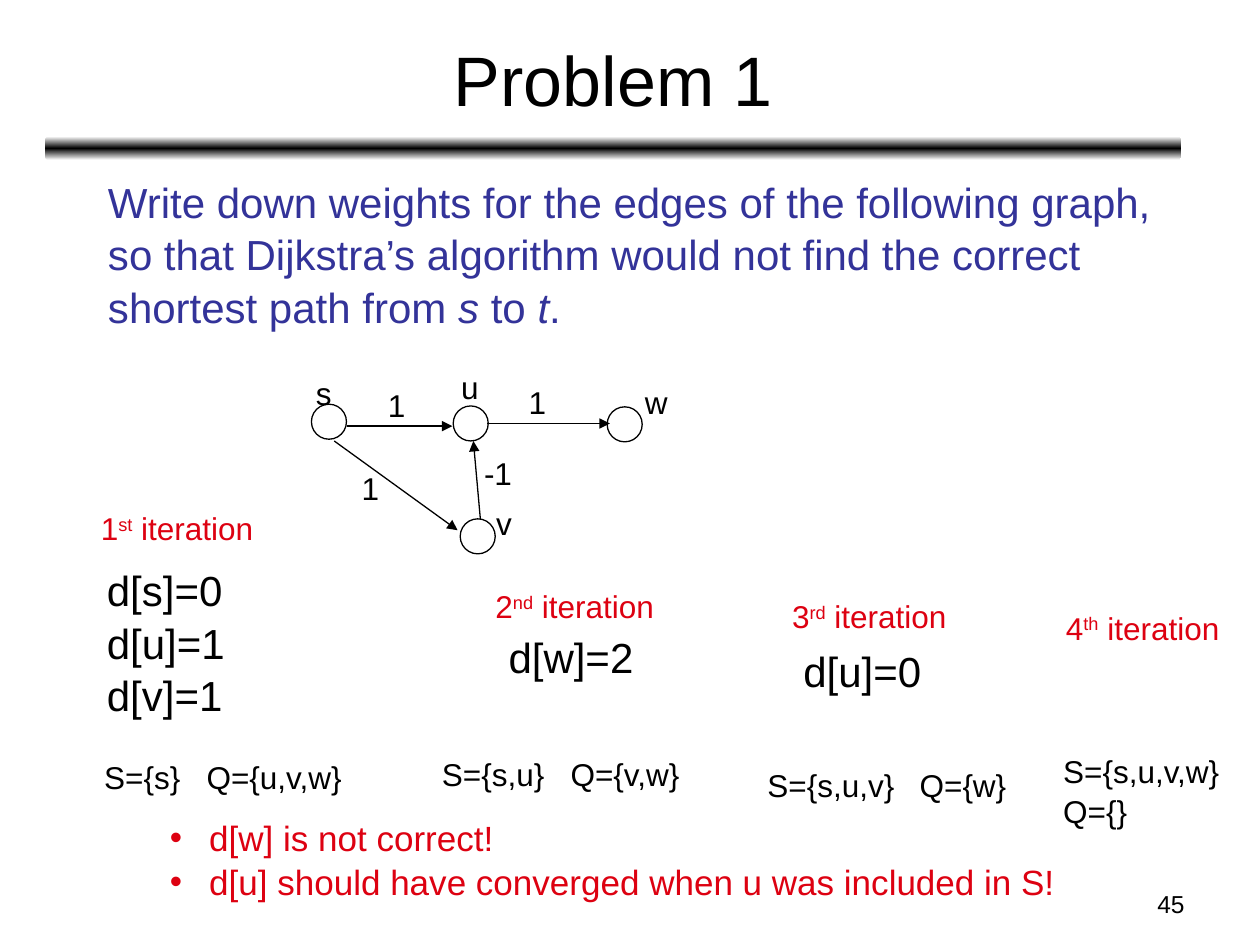
from lxml import etree
from pptx import Presentation
from pptx.dml.color import RGBColor
from pptx.enum.shapes import MSO_CONNECTOR, MSO_SHAPE
from pptx.enum.text import MSO_ANCHOR, MSO_AUTO_SIZE, PP_ALIGN
from pptx.oxml import parse_xml
from pptx.oxml.ns import nsdecls, qn
from pptx.util import Pt

BLACK, BLUE, RED = "000000", "333399", "DD0111"


def rgb(value):
    return RGBColor.from_string(value)


class GraphSlide:
    font = "Arial"
    line_spacing = 1.04
    node_size = 20
    line_width = 0.75

    def __init__(self, slide):
        self.slide = slide

    def place(self, shape, left, top, width, height):
        shape.left, shape.top = Pt(left), Pt(top)
        shape.width, shape.height = Pt(width), Pt(height)

    def style(self, frame, size, color, align=PP_ALIGN.LEFT):
        frame.auto_size = MSO_AUTO_SIZE.NONE
        for paragraph in frame.paragraphs:
            paragraph.alignment = align
            paragraph.line_spacing = self.line_spacing
            paragraph.space_before = Pt(0)
            for run in paragraph.runs:
                run.font.name, run.font.size = self.font, Pt(size)
                run.font.color.rgb = rgb(color)

    def title(self, text, box):
        title = self.slide.shapes.title
        self.place(title, *box)
        title.text_frame.text = text
        title.text_frame.vertical_anchor = MSO_ANCHOR.MIDDLE
        self.style(title.text_frame, 40, BLACK, PP_ALIGN.CENTER)

    def body(self, parts, box):
        """Fill the body with (text, italic) parts, without a bullet."""
        body = self.slide.placeholders[1]
        self.place(body, *box)
        paragraph = body.text_frame.paragraphs[0]
        properties = paragraph._p.get_or_add_pPr()
        properties.set("marL", str(Pt(27)))
        properties.set("indent", "0")
        etree.SubElement(properties, qn("a:buNone"))
        for text, italic in parts:
            run = paragraph.add_run()
            run.text, run.font.italic = text, italic
        self.style(body.text_frame, 24, BLUE)

    def text(self, text, left, top, width, height=29, size=18, color=BLACK,
             align=PP_ALIGN.LEFT, anchor=MSO_ANCHOR.TOP):
        box = self.slide.shapes.add_textbox(Pt(left), Pt(top), Pt(width), Pt(height))
        frame = box.text_frame
        frame.word_wrap = True
        frame.vertical_anchor = anchor
        if align == PP_ALIGN.LEFT:
            frame.margin_right = 0
        frame.text = text
        self.style(frame, size, color, align)
        return frame

    def iteration(self, number, suffix, left, top):
        frame = self.text(number, left, top, 112, color=RED)
        paragraph = frame.paragraphs[0]
        for part in (suffix, " iteration"):
            paragraph.add_run().text = part
        self.style(frame, 18, RED)
        paragraph.runs[1].font._element.set("baseline", "30000")

    def sets(self, done, queue, left, top, gap):
        frame = self.text(f"S={done}\tQ={queue}", left, top, 155)
        properties = frame.paragraphs[0]._p.get_or_add_pPr()
        tabs = etree.SubElement(properties, qn("a:tabLst"))
        etree.SubElement(tabs, qn("a:tab"), pos=str(Pt(gap)), algn="l")

    def bullets(self, lines, left, top, width, height):
        frame = self.text("\n".join(lines), left, top, width, height, 20, RED,
                          anchor=MSO_ANCHOR.MIDDLE)
        for paragraph in frame.paragraphs:
            properties = paragraph._p.get_or_add_pPr()
            properties.set("marL", str(Pt(22.5)))
            properties.set("indent", str(-Pt(22.5)))
            color = etree.SubElement(properties, qn("a:buClr"))
            etree.SubElement(color, qn("a:srgbClr"), val=RED)
            etree.SubElement(properties, qn("a:buFont"), typeface=self.font)
            etree.SubElement(properties, qn("a:buChar"), char="•")

    def rule(self, left, top, width, height):
        """Draw the bar below the title, black in the middle and fading out."""
        bar = self.slide.shapes.add_shape(
            MSO_SHAPE.ROUNDED_RECTANGLE, Pt(left), Pt(top), Pt(width), Pt(height))
        bar.shadow.inherit = False
        bar.line.fill.background()
        bar.fill.gradient()
        bar.fill.gradient_angle = 90
        stops = "".join(
            f'<a:gs pos="{position}"><a:srgbClr val="{color}"/></a:gs>'
            for position, color in ((0, "FFFFFF"), (50000, BLACK), (100000, "FFFFFF")))
        old = bar._element.spPr.find(".//" + qn("a:gsLst"))
        old.getparent().replace(
            old, parse_xml(f'<a:gsLst {nsdecls("a")}>{stops}</a:gsLst>'))

    def node(self, left, top):
        circle = self.slide.shapes.add_shape(
            MSO_SHAPE.OVAL, Pt(left), Pt(top), Pt(self.node_size), Pt(self.node_size))
        circle.shadow.inherit = False
        circle.fill.background()
        circle.line.color.rgb = rgb(BLACK)
        circle.line.width = Pt(self.line_width)

    def edge(self, start, end):
        arrow = self.slide.shapes.add_connector(
            MSO_CONNECTOR.STRAIGHT, *(Pt(value) for value in start + end))
        arrow.line.color.rgb = rgb(BLACK)
        arrow.line.width = Pt(self.line_width)
        etree.SubElement(arrow.line._get_or_add_ln(), qn("a:tailEnd"), type="triangle")
        etree.SubElement(arrow._element.spPr, qn("a:effectLst"))


def main():
    deck = Presentation()
    deck.slide_width, deck.slide_height = Pt(720), Pt(540)
    page = GraphSlide(deck.slides.add_slide(deck.slide_layouts[1]))

    page.rule(26, 78, 649, 13.5)
    page.text("45", 516, 504, 168, 25, 14, align=PP_ALIGN.RIGHT)
    page.title("Problem 1", (26.5, 8, 648, 71.5))
    page.body([("Write down weights for the edges of the following graph, so that "
                "Dijkstra’s algorithm would not find the correct shortest path from ", False),
               ("s ", True), ("to ", False), ("t", True), (".", False)],
              (27.5, 96, 648.5, 399.5))

    nodes = {  # name: circle corner, label corner
        "s": ((178, 231), (173.5, 209.5)),
        "u": ((259, 232), (256.5, 206)),
        "w": ((347, 232.5), (361.5, 214.5)),
        "v": ((263, 296.5), (276.5, 283.5)),
    }
    for name, (corner, label) in nodes.items():
        page.node(*corner)
        page.text(name, *label, 30)

    edges = [  # weight, start, end, label corner
        ("1", (198, 243.5), (258.5, 243.5), (214.5, 216)),
        ("1", (191, 252), (261.5, 303), (199.5, 263.5)),
        ("1", (278.5, 242), (348.5, 242), (295, 214.5)),
        ("-1", (274.5, 296.5), (270.5, 252), (269.5, 255)),
    ]
    for weight, start, end, label in edges:
        page.edge(start, end)
        page.text(weight, *label, 32)

    distances = [("d[s]=0\nd[u]=1\nd[v]=1", 54, 319.5, 94),
                 ("d[w]=2", 283.5, 356.5, 36),
                 ("d[u]=0", 452, 365, 36)]
    for text, left, top, height in distances:
        page.text(text, left, top, 101, height, 24, anchor=MSO_ANCHOR.MIDDLE)

    page.sets("{s}", "{u,v,w}", 52.5, 428.5, 58.5)
    page.sets("{s,u}", "{v,w}", 245.5, 427, 73.5)
    page.sets("{s,u,v}", "{w}", 431.5, 433.5, 87)
    page.text("S={s,u,v,w}\nQ={}", 600.5, 425.5, 105, 50.5)

    page.iteration("1", "st", 50.5, 286.5)
    page.iteration("2", "nd", 276, 331)
    page.iteration("3", "rd", 445.5, 337)
    page.iteration("4", "th", 602, 343.5)

    page.bullets(["d[w] is not correct!",
                  "d[u] should have converged when u was included in S!"],
                 90, 463, 548, 55.5)
    deck.save("out.pptx")


if __name__ == "__main__":
    main()
